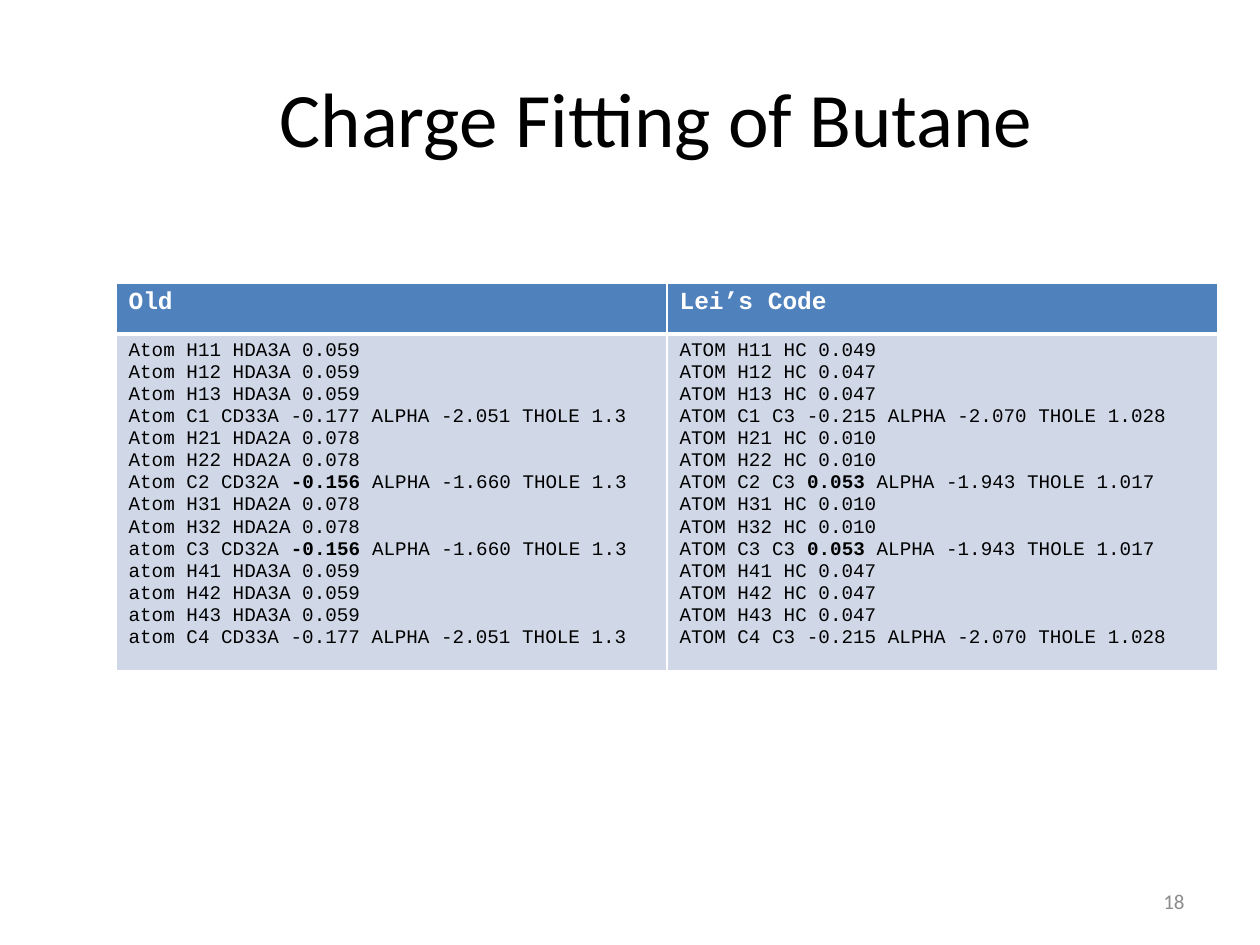
import pptx
import pptx.util
import pptx.dml.color
import pptx.enum.text
import pptx.oxml.ns
from lxml import etree

TITLE = "Charge Fitting of Butane"
PAGE = "18"
HEADERS = ["Old", "Lei’s Code"]
OLD = [
    "Atom H11 HDA3A 0.059",
    "Atom H12 HDA3A 0.059",
    "Atom H13 HDA3A 0.059",
    "Atom C1 CD33A -0.177 ALPHA -2.051 THOLE 1.3",
    "Atom H21 HDA2A 0.078",
    "Atom H22 HDA2A 0.078",
    "Atom C2 CD32A *-0.156 *ALPHA -1.660 THOLE 1.3",
    "Atom H31 HDA2A 0.078",
    "Atom H32 HDA2A 0.078",
    "atom C3 CD32A *-0.156 *ALPHA -1.660 THOLE 1.3",
    "atom H41 HDA3A 0.059",
    "atom H42 HDA3A 0.059",
    "atom H43 HDA3A 0.059",
    "atom C4 CD33A -0.177 ALPHA -2.051 THOLE 1.3",
]
NEW = [
    "ATOM H11 HC 0.049",
    "ATOM H12 HC 0.047",
    "ATOM H13 HC 0.047",
    "ATOM C1 C3 -0.215 ALPHA -2.070 THOLE 1.028",
    "ATOM H21 HC 0.010",
    "ATOM H22 HC 0.010",
    "ATOM C2 C3 *0.053 *ALPHA -1.943 THOLE 1.017",
    "ATOM H31 HC 0.010",
    "ATOM H32 HC 0.010",
    "ATOM C3 C3 *0.053* ALPHA -1.943 THOLE 1.017",
    "ATOM H41 HC 0.047",
    "ATOM H42 HC 0.047",
    "ATOM H43 HC 0.047",
    "ATOM C4 C3 -0.215 ALPHA -2.070 THOLE 1.028",
]

RGB = pptx.dml.color.RGBColor
BLACK = RGB(0x00, 0x00, 0x00)
WHITE = RGB(0xFF, 0xFF, 0xFF)
GREY = RGB(0x8C, 0x8C, 0x8C)
BLUE = RGB(0x4F, 0x81, 0xBD)
PALE = RGB(0xD0, 0xD8, 0xE8)
ALIGN = pptx.enum.text.PP_ALIGN


def px(n):
    return pptx.util.Emu(round(n * 914400 / 126))


def style(r, font, size, color, bold=False):
    r.font.name = font
    r.font.size = pptx.util.Pt(size)
    r.font.color.rgb = color
    r.font.bold = bold


def add_label(s, box, text, size, color, align):
    tf = s.shapes.add_textbox(*map(px, box)).text_frame
    tf.word_wrap = True
    tf.vertical_anchor = pptx.enum.text.MSO_ANCHOR.MIDDLE
    tf.text = text
    p = tf.paragraphs[0]
    p.alignment = align
    style(p.runs[0], "Calibri", size, color)


def set_borders(cell, widths):
    tcPr = cell._tc.get_or_add_tcPr()
    for side, width in zip("LRTB", widths):
        ln = etree.SubElement(tcPr, pptx.oxml.ns.qn(f"a:ln{side}"), w=str(pptx.util.Pt(width)))
        fill = etree.SubElement(ln, pptx.oxml.ns.qn("a:solidFill"))
        etree.SubElement(fill, pptx.oxml.ns.qn("a:srgbClr"), val=str(WHITE))


def fill_cell(cell, lines, size, color, bold, fill, widths):
    set_borders(cell, widths)
    cell.fill.solid()
    cell.fill.fore_color.rgb = fill
    tf = cell.text_frame
    for i, line in enumerate(lines):
        p = tf.paragraphs[0] if i == 0 else tf.add_paragraph()
        for j, part in enumerate(line.split("*")):
            r = p.add_run()
            r.text = part
            style(r, "Courier New", size, color, bold or j == 1)


def main():
    prs = pptx.Presentation()
    prs.slide_width, prs.slide_height = px(1260), px(945)
    s = prs.slides.add_slide(prs.slide_layouts[6])

    add_label(s, (116, 38, 1081, 157), TITLE, 44, BLACK, ALIGN.CENTER)
    add_label(s, (903, 876, 294, 50), PAGE, 12, GREY, ALIGN.RIGHT)

    table = s.shapes.add_table(2, 2, px(116), px(283), px(1102), px(102)).table
    for col, (header, lines) in enumerate(zip(HEADERS, (OLD, NEW))):
        fill_cell(table.cell(0, col), [header], 14, WHITE, True, BLUE, (1, 1, 1, 3))
        fill_cell(table.cell(1, col), lines, 11, BLACK, False, PALE, (1, 1, 3, 1))

    prs.save("out.pptx")


if __name__ == "__main__":
    main()
